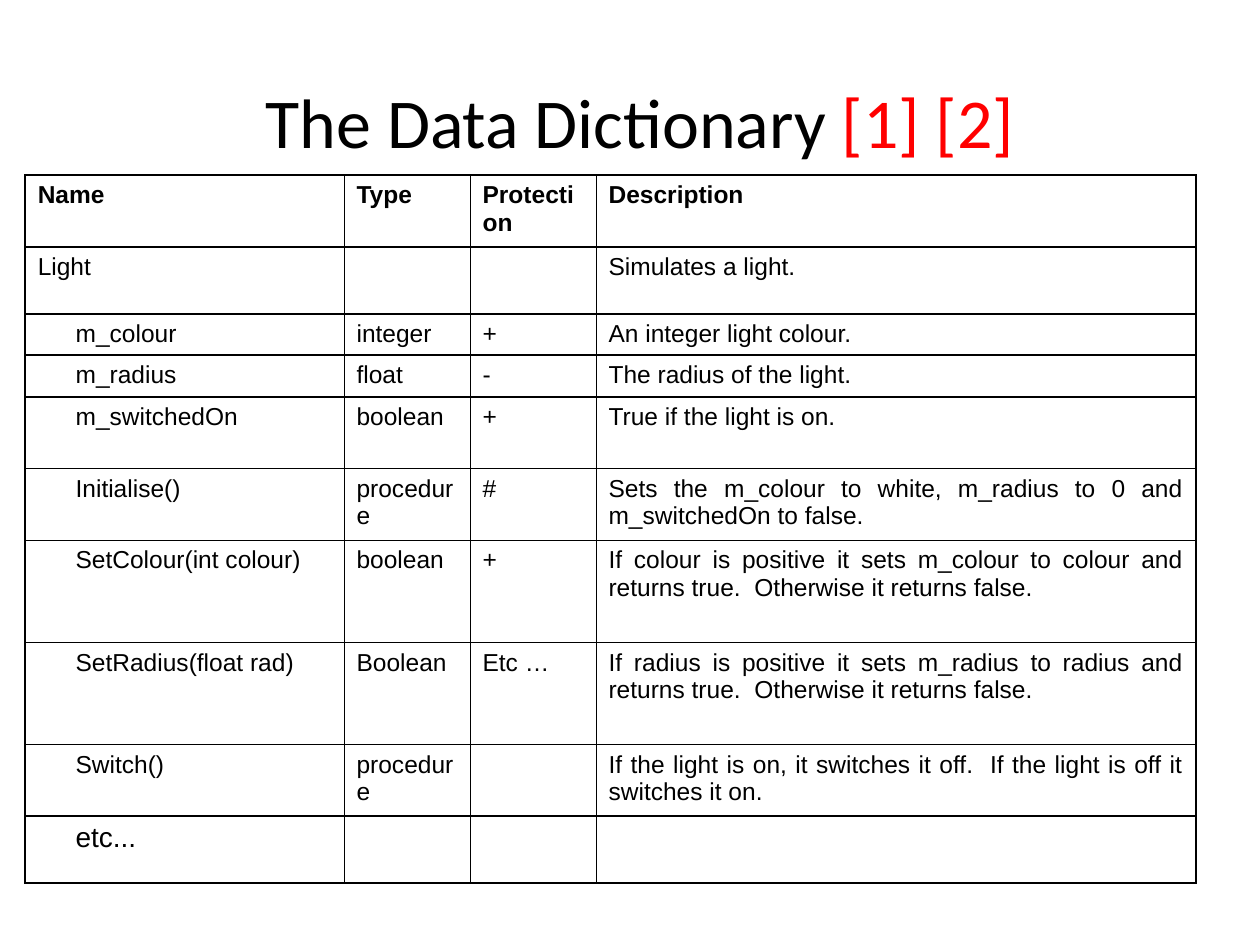
"""Build a slide with a data dictionary table."""
from lxml import etree
from pptx import Presentation
from pptx.dml.color import RGBColor
from pptx.enum.text import MSO_ANCHOR, PP_ALIGN
from pptx.oxml.ns import qn
from pptx.util import Inches, Pt

CENTER, JUSTIFY = PP_ALIGN.CENTER, PP_ALIGN.JUSTIFY
MIDDLE = MSO_ANCHOR.MIDDLE

COLORS = {"text": "000000", "citation": "FF0000", "cell": "FFFFFF", "border": "000000"}
TITLE = [("The Data Dictionary ", "text"), ("[1] [2]", "citation")]
ROWS = [
    ("Name", "Type", "Protection", "Description"),
    ("Light", "", "", "Simulates a light."),
    ("m_colour", "integer", "+", "An integer light colour."),
    ("m_radius", "float", "-", "The radius of the light."),
    ("m_switchedOn", "boolean", "+", "True if the light is on."),
    ("Initialise()", "procedure", "#",
     "Sets the m_colour to white, m_radius to 0 and m_switchedOn to false."),
    ("SetColour(int colour)", "boolean", "+",
     "If colour is positive it sets m_colour to colour and returns true.  Otherwise it returns false."),
    ("SetRadius(float rad)", "Boolean", "Etc …",
     "If radius is positive it sets m_radius to radius and returns true.  Otherwise it returns false."),
    ("Switch()", "procedure", "",
     "If the light is on, it switches it off.  If the light is off it switches it on."),
    ("etc...", "", "", ""),
]
COLUMN_WIDTHS = [2.53, 1, 1, 4.76]
ROW_HEIGHTS = [0.57, 0.53, 0.33, 0.33, 0.57, 0.57, 0.81, 0.81, 0.57, 0.53]
TABLE_LEFT, TABLE_TOP = 0.2, 1.39
TITLE_BOX = (0.83, 0.6, 8.5, 0.71)
FIRST_MEMBER_ROW = 2
MEMBER_INDENT = 0.3
THICK, THIN = 1.08, 0.45


def set_font(font, name, size, color, bold=False):
    font.name, font.size, font.bold = name, Pt(size), bold
    font.color.rgb = RGBColor.from_string(COLORS[color])


def set_borders(cell, widths):
    properties = cell._tc.get_or_add_tcPr()
    for position, (side, width) in enumerate(widths.items()):
        line = etree.Element(qn(f"a:ln{side}"), w=str(Pt(width)))
        fill = etree.SubElement(line, qn("a:solidFill"))
        etree.SubElement(fill, qn("a:srgbClr"), val=COLORS["border"])
        properties.insert(position, line)


def add_title(slide):
    title = slide.shapes.title
    title.left, title.top, title.width, title.height = map(Inches, TITLE_BOX)
    title.text_frame.vertical_anchor = MIDDLE
    paragraph = title.text_frame.paragraphs[0]
    paragraph.alignment = CENTER
    for text, color in TITLE:
        run = paragraph.add_run()
        run.text = text
        set_font(run.font, "Calibri", 40, color)


def fill_cell(cell, text, row, column):
    cell.fill.solid()
    cell.fill.fore_color.rgb = RGBColor.from_string(COLORS["cell"])
    paragraph = cell.text_frame.paragraphs[0]
    paragraph.text = text
    paragraph.alignment = JUSTIFY
    if column == 0 and row >= FIRST_MEMBER_ROW:
        paragraph.level = 1
        paragraph._p.get_or_add_pPr().set("marL", str(Inches(MEMBER_INDENT)))
    size = 16 if row == len(ROWS) - 1 else 14
    for target in (paragraph, *paragraph.runs):
        set_font(target.font, "Arial", size, "text", bold=row == 0)
    set_borders(cell, {
        "L": THICK if column == 0 else THIN,
        "R": THICK if column == len(COLUMN_WIDTHS) - 1 else THIN,
        "T": THICK,
        "B": THICK,
    })


def add_dictionary(slide):
    frame = slide.shapes.add_table(
        len(ROWS), len(COLUMN_WIDTHS), Inches(TABLE_LEFT), Inches(TABLE_TOP),
        Inches(sum(COLUMN_WIDTHS)), Inches(sum(ROW_HEIGHTS)))
    table = frame.table
    table.first_row = table.horz_banding = False
    for column, width in zip(table.columns, COLUMN_WIDTHS):
        column.width = Inches(width)
    for row, height in zip(table.rows, ROW_HEIGHTS):
        row.height = Inches(height)
    for row, texts in enumerate(ROWS):
        for column, text in enumerate(texts):
            fill_cell(table.cell(row, column), text, row, column)


def main():
    presentation = Presentation()
    presentation.slide_width, presentation.slide_height = Inches(10), Inches(7.5)
    slide = presentation.slides.add_slide(presentation.slide_layouts.get_by_name("Title Only"))
    add_title(slide)
    add_dictionary(slide)
    presentation.save("out.pptx")


if __name__ == "__main__":
    main()
